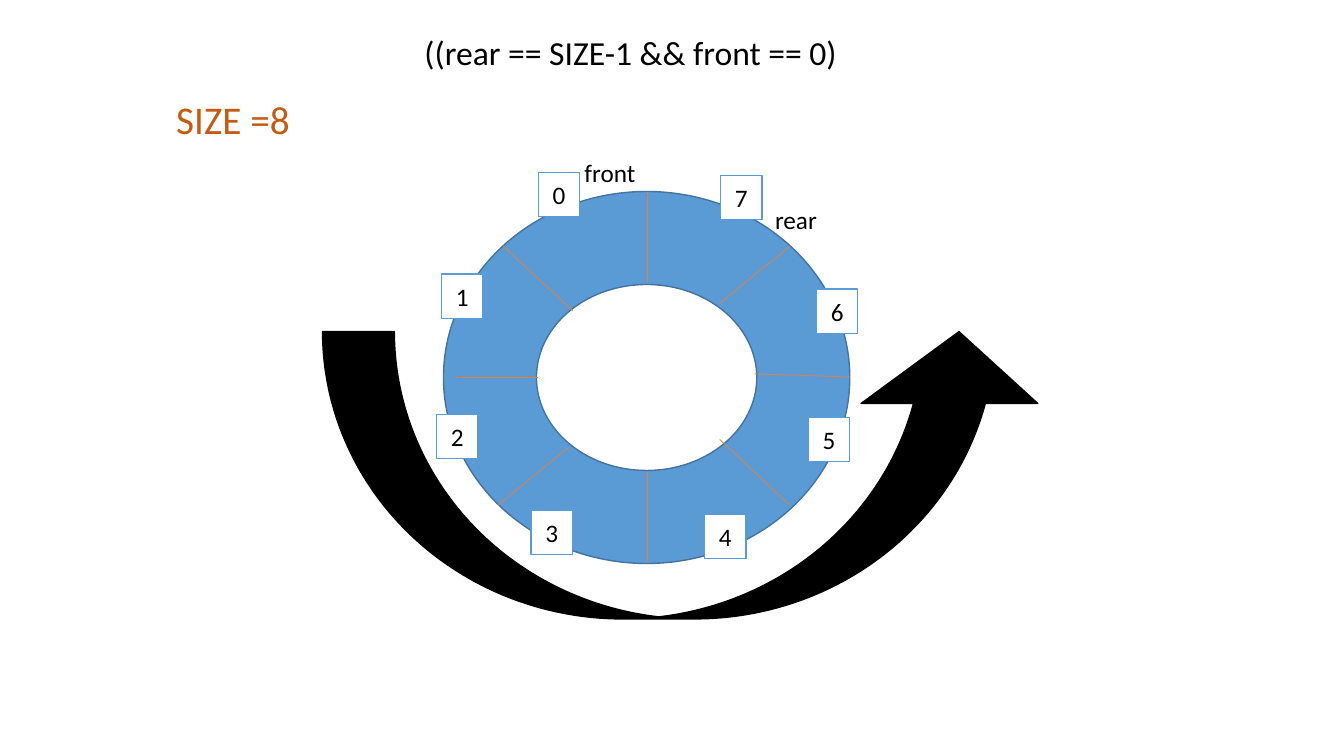
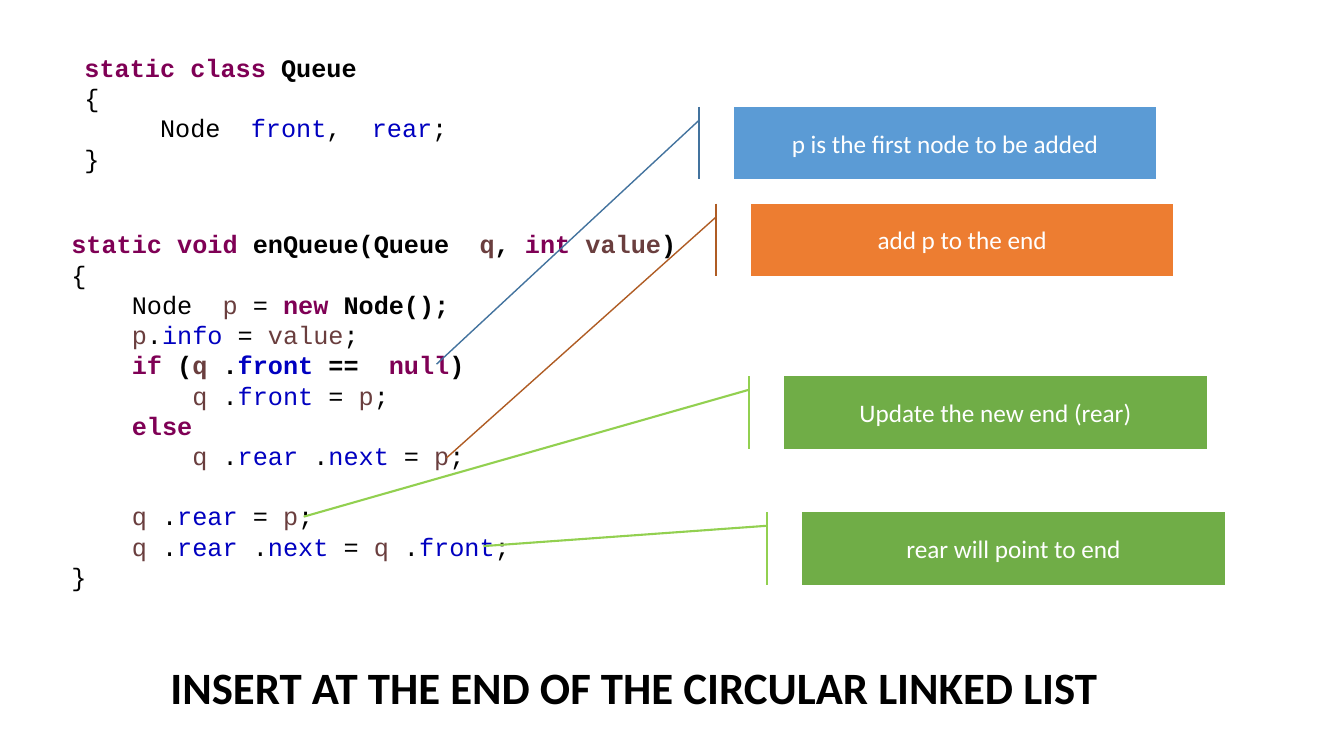
from dataclasses import dataclass
from itertools import groupby

from lxml.etree import SubElement as Sub
from pptx import Presentation as Deck
from pptx.dml.color import RGBColor as Rgb
from pptx.enum.shapes import MSO_CONNECTOR as Wire, MSO_SHAPE as Form
from pptx.enum.text import MSO_ANCHOR as Anchor, MSO_AUTO_SIZE as Fit, PP_ALIGN as Align
from pptx.oxml.ns import qn
from pptx.util import Pt


@dataclass(frozen=True)
class Theme:
    """Colours, fonts and type sizes of the deck."""
    font: str = "Calibri"
    mono: str = "Courier New"
    black: str = "000000"
    white: str = "FFFFFF"
    blue: str = "5B9BD5"
    navy: str = "43739E"
    orange: str = "ED7D31"
    rust: str = "AF5C24"
    brick: str = "C55A11"
    green: str = "70AD47"
    lime: str = "92D050"
    word: str = "7F0055"
    field: str = "0000C0"
    local: str = "6A3E3E"
    text: int = 18
    rule: int = 24
    note: int = 28
    head: int = 32
    lead: float = 21.6
    char: float = 10.8


T = Theme()

FRAME = {"word_wrap": True, "auto_size": Fit.NONE, "vertical_anchor": Anchor.TOP}

INK = {
    **dict.fromkeys("static class void int new if else null".split(), T.word),
    **dict.fromkeys("front rear next info".split(), T.field),
    **dict.fromkeys("q p value".split(), T.local),
}

CLASS = """static class Queue
{
     Node  front,  rear;
}"""

INSERT = """static void enQueue(Queue  q, int value)
{
    Node  p = new Node();
    p.info = value;
    if (q .front ==  null)
        q .front = p;
    else
        q .rear .next = p;

    q .rear = p;
    q .rear .next = q .front;
}"""

CUTS = [
    (462.2, 136.8, 462.2, 201.6), (462.2, 337, 462.2, 401.8),
    (607, 269.3, 539.3, 267.1), (384.5, 269.3, 325.4, 269.3),
    (409, 221.8, 359.3, 175.7), (563.8, 360.7, 514.1, 313.9),
    (564.5, 175.7, 514.1, 216.7), (406.1, 319.7, 355.7, 360.7),
]

SLOTS = [
    (384.5, 123.1), (315.4, 195.8), (311.8, 295.9), (379.4, 364.3),
    (503.3, 367.2), (577.4, 298.1), (583.2, 206.6), (514.8, 125.3),
]

CALLS = [
    ("p is the first node to be added", (524.2, 76.3), (3.549, -0.704), T.blue, T.navy, 1),
    ("add p to the end", (536.4, 145.4), (3.509, -0.721), T.orange, T.rust, 1),
    ("Update the new end (rear)", (560.2, 268.6), (1.94, -1.138), T.green, T.lime, 1.5),
    ("rear will point to end", (573.1, 365.8), (0.469, -0.755), T.green, T.lime, 1.5),
]


def apply(item, form):
    """Set each value of a format dict on an item."""
    for name, value in form.items():
        setattr(item, name, value)


def write(para, text, size=T.text, ink=T.black, bold=False, font=T.font):
    """Add a styled run to a paragraph."""
    run = para.add_run()
    run.text = text
    apply(run.font, {"name": font, "size": Pt(size), "bold": bold})
    run.font.color.rgb = Rgb.from_string(ink)


def stroke(line, ink, width):
    """Colour a line and set its width."""
    line.color.rgb = Rgb.from_string(ink)
    line.width = Pt(width)


def title(slide, text, box, **look):
    """Place and fill the title placeholder."""
    head = slide.shapes.title
    apply(head, dict(zip(("left", "top", "width", "height"), map(Pt, box))))
    apply(head.text_frame, FRAME)
    para = head.text_frame.paragraphs[0]
    para.alignment = Align.LEFT
    write(para, text, **look)


def frame(slide, box):
    """Add a wrapped text box and return its frame."""
    area = slide.shapes.add_textbox(*map(Pt, box)).text_frame
    apply(area, FRAME)
    return area


def label(slide, text, box, **look):
    """Add one line of text."""
    write(frame(slide, box).paragraphs[0], text, **look)


def shape(slide, kind, box, fill, edge, width=1, text="", ink=T.black, adjust=()):
    """Add a filled preset shape with centred text."""
    item = slide.shapes.add_shape(kind, *map(Pt, box))
    item.shadow.inherit = False
    for spot, value in enumerate(adjust):
        item.adjustments[spot] = value
    item.fill.solid()
    item.fill.fore_color.rgb = Rgb.from_string(fill)
    stroke(item.line, edge, width)
    if text:
        apply(item.text_frame, {**FRAME, "vertical_anchor": Anchor.MIDDLE})
        para = item.text_frame.paragraphs[0]
        para.alignment = Align.CENTER
        write(para, text, ink=ink)


def cut(slide, ends):
    """Draw a thin divider across the ring."""
    line = slide.shapes.add_connector(Wire.STRAIGHT, *map(Pt, ends))
    stroke(line.line, T.orange, 0.5)
    Sub(line._element.spPr, qn("a:effectLst"))


def code(slide, text, box):
    """Set code with coloured words; a keyword turns the rest of its line bold."""
    area = frame(slide, box)
    para, gap = area.paragraphs[0], 0
    for row, line in enumerate(text.split("\n")):
        if not line:
            gap = T.lead
            continue
        if row:
            para = area.add_paragraph()
        apply(para, {"line_spacing": Pt(T.lead), "space_before": Pt(gap)})
        bare, bold, gap = line.lstrip(), False, 0
        inset = Pt((len(line) - len(bare)) * T.char)
        para._p.get_or_add_pPr().set("marL", str(inset))
        for _, part in groupby(bare, str.isalnum):
            word = "".join(part)
            ink = INK.get(word, T.black)
            bold = bold or ink == T.word
            write(para, word, ink=ink, bold=bold, font=T.mono)


def ring(slide):
    """Build the circular queue slide."""
    title(slide, "((rear == SIZE-1 && front == 0)", (296, 19.4, 317.5, 36), size=T.rule)
    shape(slide, Form.DONUT, (316.8, 136.8, 290.2, 265.7), T.blue, T.navy)
    for ends in CUTS:
        cut(slide, ends)
    label(slide, "rear", (546.5, 142.6, 49, 28.8))
    label(slide, "front", (410.4, 108.7, 107.3, 28.8))
    shape(slide, Form.CURVED_UP_ARROW, (230.4, 236.9, 517.7, 205.2),
          T.black, T.black, adjust=(0.25, 0.615, 0.25))
    for count, spot in enumerate(SLOTS):
        shape(slide, Form.RECTANGLE, (*spot, 29.5, 31.7), T.white, T.blue, text=str(count))
    label(slide, "SIZE =8", (118.8, 64.8, 103, 41), size=T.note, ink=T.brick)


def insert(slide):
    """Build the insertion code slide."""
    code(slide, INSERT, (43.9, 159.8, 480.2, 269.3))
    code(slide, CLASS, (53.3, 33.8, 329, 94.3))
    for text, spot, tip, fill, edge, width in CALLS:
        shape(slide, Form.LINE_CALLOUT_1_ACCENT_BAR, (*spot, 301.7, 51.8), fill, edge,
              width, text, T.white, (0.188, -0.083, *tip))
    title(slide, "INSERT AT THE END OF THE CIRCULAR LINKED LIST",
          (114.5, 467.3, 683.3, 46), size=T.head, bold=True)


def main():
    """Build and save the deck."""
    deck = Deck()
    apply(deck, {"slide_width": Pt(960), "slide_height": Pt(540)})
    for build in (ring, insert):
        build(deck.slides.add_slide(deck.slide_layouts[5]))
    deck.save("out.pptx")


main()
